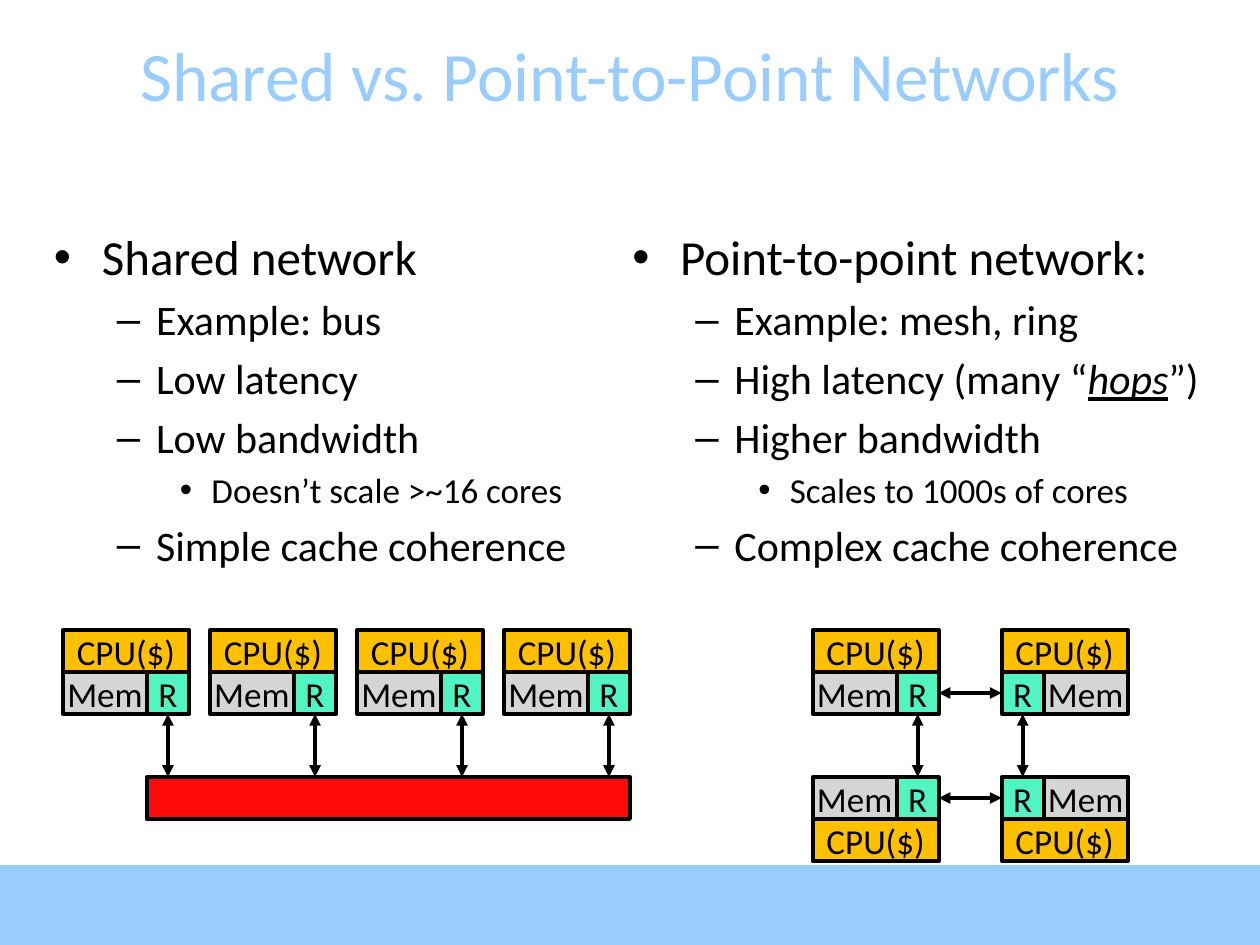
from dataclasses import dataclass

from lxml import etree
from pptx import Presentation
from pptx.dml.color import RGBColor
from pptx.enum.shapes import MSO_CONNECTOR, MSO_SHAPE
from pptx.enum.text import MSO_ANCHOR, PP_ALIGN
from pptx.oxml.ns import qn
from pptx.util import Inches, Pt

RECTANGLE = MSO_SHAPE.RECTANGLE
STRAIGHT = MSO_CONNECTOR.STRAIGHT
MIDDLE, TOP = MSO_ANCHOR.MIDDLE, MSO_ANCHOR.TOP
CENTER, LEFT = PP_ALIGN.CENTER, PP_ALIGN.LEFT

COLORS = {
    "sky": "99CCFF",
    "black": "000000",
    "cpu": "FFC000",
    "memory": "D5D5D5",
    "router": "52F4C2",
    "bus": "FF0909",
}
FONT = "Calibri"
STROKE = Pt(2.25)
COLUMNS, ROWS = 60, 45  # grid of the slide, six units to the inch
CPU_WIDTH, MEMORY_WIDTH, ROUTER_WIDTH, UNIT_HEIGHT = 6, 4, 2, 2

presentation = Presentation()
presentation.slide_width, presentation.slide_height = Inches(10), Inches(7.5)
slide = presentation.slides.add_slide(presentation.slide_layouts[6])


@dataclass(frozen=True)
class Level:
    """Look of one outline level; indents in inches."""
    bullet: str
    size: float
    margin: float
    hanging: float


@dataclass(frozen=True)
class Outline:
    """A text column: place in inches and (level, text) entries."""
    left: float
    width: float
    entries: tuple[tuple[int, str], ...]


@dataclass(frozen=True)
class Node:
    """A processor with memory and router, placed on the grid."""
    column: float
    row: float
    router_first: bool = False
    cpu_below: bool = False

    @property
    def router_column(self) -> float:
        """Left edge of the router."""
        return self.column + (0 if self.router_first else MEMORY_WIDTH)

    @property
    def router_row(self) -> float:
        """Top edge of the router."""
        return self.row + (0 if self.cpu_below else UNIT_HEIGHT)


LEVELS = (
    Level("•", 28, 0.38, 0.38),
    Level("–", 24, 0.81, 0.31),
    Level("•", 20, 1.25, 0.25),
)
OUTLINES = (
    Outline(0.33, 4.58, (
        (0, "Shared network"),
        (1, "Example: bus"),
        (1, "Low latency"),
        (1, "Low bandwidth"),
        (2, "Doesn’t scale >~16 cores"),
        (1, "Simple cache coherence"),
    )),
    Outline(4.92, 4.72, (
        (0, "Point-to-point network:"),
        (1, "Example: mesh, ring"),
        (1, "High latency (many “*hops*”)"),
        (1, "Higher bandwidth"),
        (2, "Scales to 1000s of cores"),
        (1, "Complex cache coherence"),
    )),
)
BUS_ROW = 37
BUS_NODES = [Node(3 + 7 * i, 30) for i in range(4)]
MESH_NODES = [Node(38.7 + 9 * right, 30 + 7 * lower, bool(right), bool(lower))
              for lower in range(2) for right in range(2)]


def across(columns: float) -> int:
    """Turn grid columns into a length."""
    return round(presentation.slide_width * columns / COLUMNS)


def down(rows: float) -> int:
    """Turn grid rows into a length."""
    return round(presentation.slide_height * rows / ROWS)


def write(paragraph, text: str, *, size: float, color: str = "black", align=CENTER) -> None:
    """Fill a paragraph; a part between asterisks is italic and underlined."""
    paragraph.alignment = align
    for index, part in enumerate(text.split("*")):
        run = paragraph.add_run()
        run.text = part
        run.font.name, run.font.size = FONT, Pt(size)
        run.font.color.rgb = RGBColor.from_string(COLORS[color])
        if index % 2:
            run.font.italic = run.font.underline = True


def add_text_area(left: float, top: float, width: float, height: float, anchor):
    """Add a wrapping text box, in inches, and return its frame."""
    frame = slide.shapes.add_textbox(*map(Inches, (left, top, width, height))).text_frame
    frame.word_wrap, frame.vertical_anchor = True, anchor
    return frame


def set_bullet(paragraph, level: Level) -> None:
    """Give a paragraph its indent, proportional spacing and bullet."""
    properties = paragraph._p.get_or_add_pPr()
    properties.set("marL", str(Inches(level.margin)))
    properties.set("indent", str(-Inches(level.hanging)))
    spacing = etree.SubElement(properties, qn("a:spcBef"))
    etree.SubElement(spacing, qn("a:spcPct")).set("val", "20000")
    etree.SubElement(properties, qn("a:buFont")).set("typeface", "Arial")
    etree.SubElement(properties, qn("a:buChar")).set("char", level.bullet)


def add_outline(outline: Outline) -> None:
    """Add one bulleted column."""
    frame = add_text_area(outline.left, 1.75, outline.width, 4.95, TOP)
    for index, (depth, text) in enumerate(outline.entries):
        paragraph = frame.add_paragraph() if index else frame.paragraphs[0]
        paragraph.level = depth
        set_bullet(paragraph, LEVELS[depth])
        write(paragraph, text, size=LEVELS[depth].size, align=LEFT)


def add_block(column: float, row: float, width: float, color: str, label: str = "",
              height: float = UNIT_HEIGHT, outlined: bool = True) -> None:
    """Add a filled rectangle on the grid."""
    block = slide.shapes.add_shape(RECTANGLE, across(column), down(row),
                                   across(width), down(height))
    block.shadow.inherit = False
    block.fill.solid()
    block.fill.fore_color.rgb = RGBColor.from_string(COLORS[color])
    if outlined:
        block.line.color.rgb = RGBColor.from_string(COLORS["black"])
        block.line.width = STROKE
    else:
        block.line.fill.background()
    if label:
        block.text_frame.word_wrap = False
        block.text_frame.vertical_anchor = MIDDLE
        write(block.text_frame.paragraphs[0], label, size=20)


def add_link(column: float, row: float, end_column: float, end_row: float) -> None:
    """Add a double-headed arrow on the grid."""
    link = slide.shapes.add_connector(STRAIGHT, across(column), down(row),
                                      across(end_column), down(end_row))
    link.line.color.rgb = RGBColor.from_string(COLORS["black"])
    link.line.width = STROKE
    for end in ("a:headEnd", "a:tailEnd"):
        etree.SubElement(link.line._get_or_add_ln(), qn(end)).set("type", "triangle")
    etree.SubElement(link._element.spPr, qn("a:effectLst"))


def add_node(node: Node) -> None:
    """Add the processor, memory and router of a node."""
    cpu_row = node.row + (UNIT_HEIGHT if node.cpu_below else 0)
    memory_column = node.column + (ROUTER_WIDTH if node.router_first else 0)
    add_block(node.column, cpu_row, CPU_WIDTH, "cpu", "CPU($)")
    add_block(memory_column, node.router_row, MEMORY_WIDTH, "memory", "Mem")
    add_block(node.router_column, node.router_row, ROUTER_WIDTH, "router", "R")


add_block(0, 41.2, COLUMNS, "sky", height=3.8, outlined=False)
title = add_text_area(0, 0.27, 10, 0.63, MIDDLE)
write(title.paragraphs[0], "Shared vs. Point-to-Point Networks", size=39.6, color="sky")
for outline in OUTLINES:
    add_outline(outline)
for node in BUS_NODES + MESH_NODES:
    add_node(node)

add_block(7, BUS_ROW, 23, "bus")
for node in BUS_NODES + MESH_NODES[:2]:
    router_center = node.router_column + ROUTER_WIDTH / 2
    add_link(router_center, node.router_row + UNIT_HEIGHT, router_center, BUS_ROW)
for link_row in (33, 38):
    add_link(MESH_NODES[0].column + CPU_WIDTH, link_row, MESH_NODES[1].column, link_row)

presentation.save("out.pptx")
